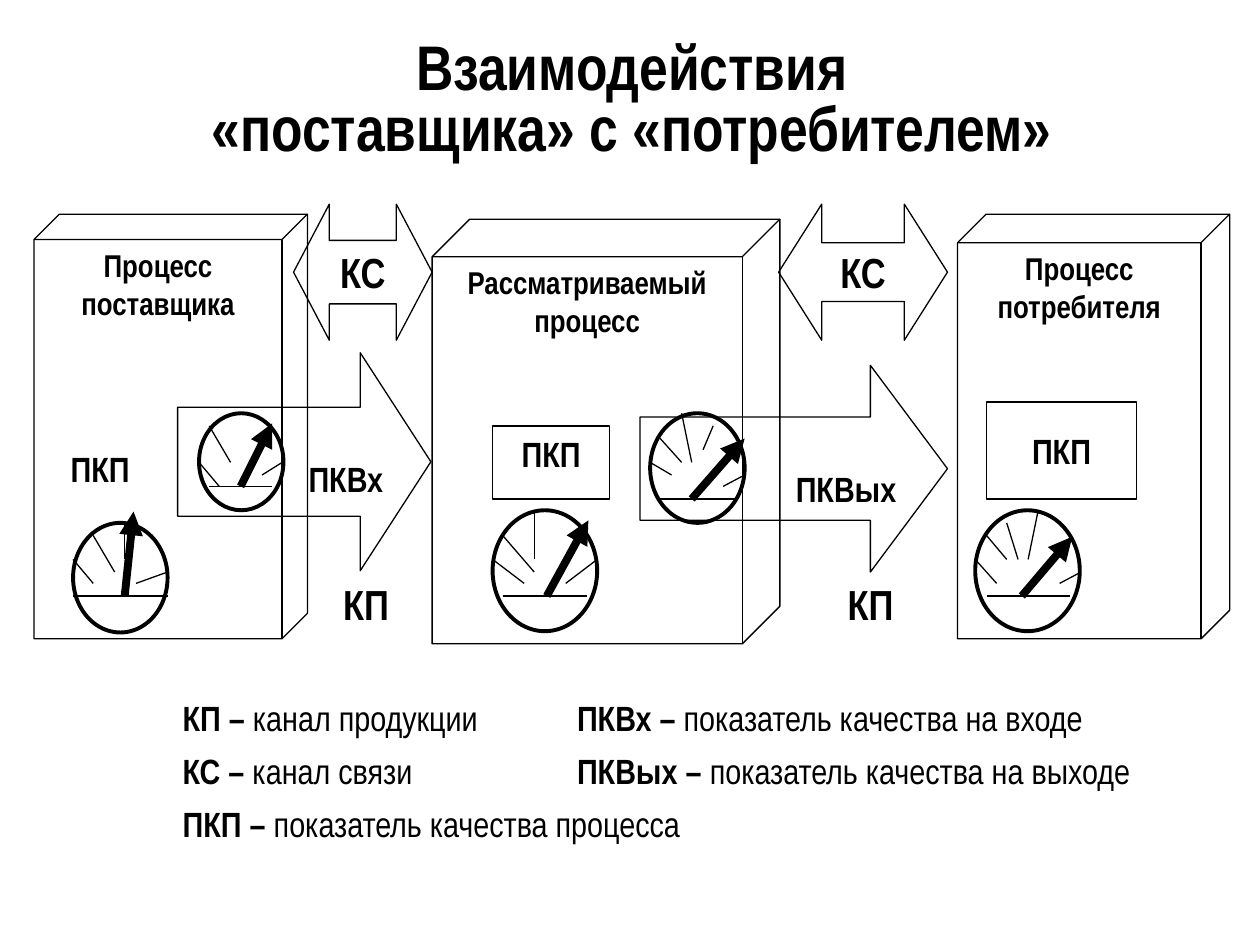
from lxml import etree
from pptx import Presentation
from pptx import util as u
from pptx.dml.color import RGBColor
from pptx.enum import shapes, text
from pptx.oxml import ns

BLACK = RGBColor(0, 0, 0)
FONT = "Arial Narrow"
SHAPE = shapes.MSO_SHAPE
TOP, MIDDLE = text.MSO_ANCHOR.TOP, text.MSO_ANCHOR.MIDDLE
CENTER, RIGHT = text.PP_ALIGN.CENTER, text.PP_ALIGN.RIGHT

prs = Presentation()
prs.slide_width, prs.slide_height = u.Inches(10), u.Inches(7.5)
slide = prs.slides.add_slide(prs.slide_layouts[5])


def add_box(kind, place, label="", size=20, anchor=TOP, align=CENTER, width=0.75):
    place = [u.Inches(value) for value in place]
    if kind is None:
        box = slide.shapes.add_textbox(*place)
    else:
        box = slide.shapes.add_shape(kind, *place)
        box.shadow.inherit = False
        box.fill.background()
        box.line.color.rgb = BLACK
        box.line.width = u.Pt(width)
    frame = box.text_frame
    frame.word_wrap = True
    frame.vertical_anchor = anchor
    if label:
        paragraph = frame.paragraphs[0]
        paragraph.text = label
        paragraph.alignment = align
        paragraph.font.name = FONT
        paragraph.font.size = u.Pt(size)
        paragraph.font.bold = True
        paragraph.font.color.rgb = BLACK
    return box


def add_line(ends, width=0.75):
    line = slide.shapes.add_connector(
        shapes.MSO_CONNECTOR.STRAIGHT, *[u.Inches(value) for value in ends])
    line.line.color.rgb = BLACK
    line.line.width = u.Pt(width)
    etree.SubElement(line._element.spPr, ns.qn("a:effectLst"))
    return line


title = slide.shapes.title
title.left, title.top = u.Inches(0.27), u.Inches(0.28)
title.width, title.height = u.Inches(9.49), u.Inches(1.07)
title.text_frame.text = "Взаимодействия\n«поставщика» с «потребителем»"
title.text_frame.vertical_anchor = TOP
for paragraph in title.text_frame.paragraphs:
    paragraph.alignment = CENTER
    paragraph.line_spacing = u.Pt(35)
    paragraph.font.name = FONT
    paragraph.font.size = u.Pt(36)
    paragraph.font.bold = True
    paragraph.font.color.rgb = BLACK

for place, depth, label in [
    ((0.27, 1.7, 2.17, 3.37), 0.093, "Процесс поставщика"),
    ((3.43, 1.74, 2.76, 3.37), 0.108, "Рассматриваемый процесс"),
    ((7.6, 1.7, 2.16, 3.37), 0.105, "Процесс потребителя"),
]:
    process = add_box(SHAPE.CUBE, place, label, 18)
    process.adjustments[0] = depth

for left, width, shaft, head, anchor in [
    (2.33, 1.1, 0.467, 0.263, TOP),
    (6.18, 1.34, 0.431, 0.317, MIDDLE),
]:
    link = add_box(SHAPE.LEFT_RIGHT_ARROW, (left, 1.62, width, 1.08), "КС", 24, anchor)
    link.adjustments[0], link.adjustments[1] = shaft, head

for place, head, label in [
    ((1.41, 2.8, 2.01, 1.73), 0.324, "ПКВх"),
    ((5.08, 2.9, 2.44, 1.64), 0.373, "ПКВых"),
]:
    flow = add_box(SHAPE.RIGHT_ARROW, place, label, align=RIGHT)
    flow.adjustments[1] = head
    flow.text_frame.margin_top = u.Inches(0.4)

for left, width in [(2.48, 0.85), (6.5, 0.82)]:
    add_box(None, (left, 4.54, width, 0.58), "КП", 24)

add_box(None, (0.35, 3.38, 0.89, 0.67), "ПКП", anchor=MIDDLE)
add_box(SHAPE.RECTANGLE, (3.91, 3.38, 0.93, 0.58), "ПКП")
add_box(SHAPE.RECTANGLE, (7.83, 3.19, 1.19, 0.77), "ПКП", anchor=MIDDLE)

gauges = [
    ((0.58, 4.15, 0.75, 0.87), (0.99, 4.73, 1.06, 4.06), [
        (0.58, 4.73, 1.33, 4.73), (0.58, 4.44, 0.74, 4.63), (0.74, 4.25, 0.91, 4.54),
        (0.99, 4.15, 0.99, 4.44), (1.33, 4.54, 1.08, 4.63)]),
    ((3.91, 4.05, 0.83, 0.96), (4.34, 4.73, 4.67, 4.13), [
        (3.99, 4.73, 4.66, 4.73), (3.91, 4.44, 4.16, 4.63), (3.99, 4.25, 4.24, 4.54),
        (4.24, 4.05, 4.24, 4.44), (4.74, 4.44, 4.49, 4.63)]),
    ((7.74, 4.05, 0.83, 0.96), (8.11, 4.73, 8.51, 4.26), [
        (7.83, 4.73, 8.49, 4.73), (7.74, 4.44, 7.91, 4.63), (7.83, 4.25, 7.99, 4.44),
        (7.99, 4.15, 8.08, 4.44), (8.24, 4.05, 8.16, 4.44), (8.58, 4.54, 8.41, 4.63)]),
    ((1.58, 3.28, 0.67, 0.77), (1.91, 3.86, 2.16, 3.36), [
        (1.66, 3.86, 2.16, 3.86), (1.58, 3.67, 1.74, 3.86), (1.66, 3.38, 1.83, 3.67),
        (2.16, 3.38, 1.99, 3.67), (2.24, 3.67, 2.08, 3.77)]),
    ((5.16, 3.28, 0.75, 0.87), (5.49, 3.96, 5.91, 3.48), [
        (5.24, 3.96, 5.83, 3.96), (5.16, 3.67, 5.33, 3.77), (5.24, 3.48, 5.41, 3.67),
        (5.41, 3.28, 5.49, 3.67), (5.66, 3.38, 5.58, 3.57), (5.91, 3.77, 5.74, 3.86)]),
]
for dial, needle, ticks in gauges:
    add_box(SHAPE.OVAL, dial, width=2.25)
    for tick in ticks:
        add_line(tick)
    pointer = add_line(needle, 4.5)
    etree.SubElement(pointer.line._get_or_add_ln(), ns.qn("a:tailEnd"), type="triangle")

legend = add_box(None, (0.35, 5.25, 9.37, 1.73), anchor=MIDDLE).text_frame
legend.margin_left = u.Inches(1.1)
legend_rows = [
    [("КП", "канал продукции"), ("ПКВх", "показатель качества на входе")],
    [("КС", "канал связи"), ("ПКВых", "показатель качества на выходе")],
    [("ПКП", "показатель качества процесса")],
]
for row, entries in enumerate(legend_rows):
    paragraph = legend.add_paragraph() if row else legend.paragraphs[0]
    tabs = etree.SubElement(paragraph._p.get_or_add_pPr(), ns.qn("a:tabLst"))
    etree.SubElement(tabs, ns.qn("a:tab"), pos=str(u.Inches(3.13)), algn="l")
    if row:
        paragraph.space_before = u.Pt(6)
    paragraph.font.name = FONT
    paragraph.font.size = u.Pt(20)
    paragraph.font.color.rgb = BLACK
    for column, (term, meaning) in enumerate(entries):
        for words, bold in [("\t" * column + term + " – ", True), (meaning, False)]:
            run = paragraph.add_run()
            run.text = words
            run.font.bold = bold

prs.save("out.pptx")
